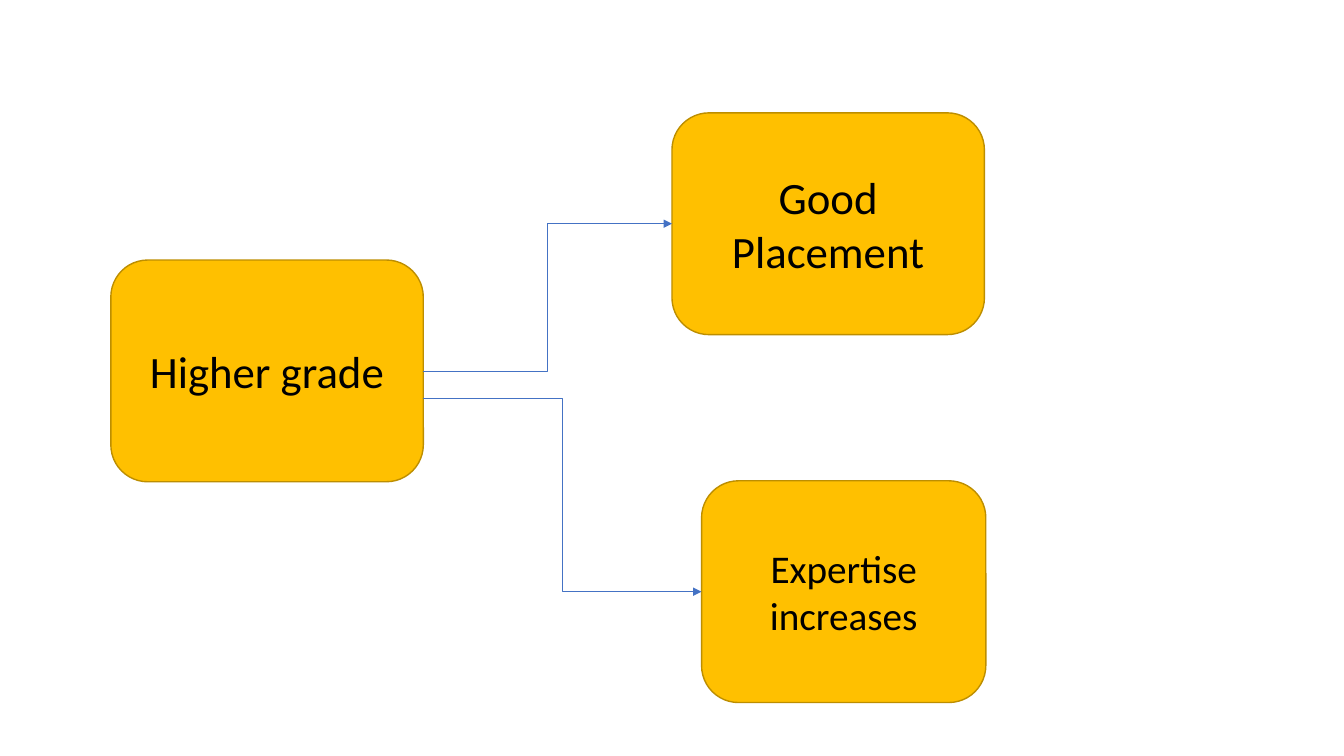
from lxml.etree import SubElement
from pptx import Presentation
from pptx.dml.color import RGBColor
from pptx.enum.shapes import MSO_CONNECTOR, MSO_SHAPE
from pptx.enum.text import MSO_ANCHOR, PP_ALIGN
from pptx.oxml.ns import qn
from pptx.util import Inches, Pt

COLORS = {"fill": "FFC000", "edge": "BD8E00", "text": "000000", "arrow": "4472C4"}
COLS, ROWS = 40, 30
LEFT, RIGHT = 1, 3  # connection sites


class Chart:
    """Style and current slide of a flow chart."""

    font = "Calibri"

    def __init__(self, deck):
        self.slide = deck.slides.add_slide(deck.slide_layouts[6])
        self.col = deck.slide_width / COLS
        self.row = deck.slide_height / ROWS

    def spot(self, col, row):
        return round(col * self.col), round(row * self.row)

    def color(self, name):
        return RGBColor.from_string(COLORS[name])

    def box(self, text, col, row, wide, high=8.8, size=32):
        box = self.slide.shapes.add_shape(
            MSO_SHAPE.ROUNDED_RECTANGLE, *self.spot(col, row), *self.spot(wide, high))
        box.shadow.inherit = False
        box.fill.solid()
        box.fill.fore_color.rgb = self.color("fill")
        box.line.color.rgb = self.color("edge")
        box.line.width = Pt(1)
        frame = box.text_frame
        frame.word_wrap = True
        frame.vertical_anchor = MSO_ANCHOR.MIDDLE
        frame.text = text
        para = frame.paragraphs[0]
        para.alignment = PP_ALIGN.CENTER
        para.font.name = self.font
        para.font.size = Pt(size)
        para.font.color.rgb = self.color("text")
        return box

    def arrow(self, start, end, drop=0):
        """Join two boxes; a drop in rows starts it below the side's middle."""
        x = start.left + start.width
        y = start.top + start.height // 2 + round(drop * self.row)
        line = self.slide.shapes.add_connector(
            MSO_CONNECTOR.ELBOW, x, y, end.left, end.top + end.height // 2)
        if not drop:
            line.begin_connect(start, RIGHT)
        line.end_connect(end, LEFT)
        line.line.color.rgb = self.color("arrow")
        line.line.width = Pt(0.5)
        SubElement(line.line._get_or_add_ln(), qn("a:tailEnd"), type="triangle")
        SubElement(line._element.spPr, qn("a:effectLst"))


def main():
    deck = Presentation()
    deck.slide_width, deck.slide_height = Inches(13.33), Inches(7.5)
    chart = Chart(deck)

    # Cause and its two effects
    grade = chart.box("Higher grade", 3.3, 10.32, 9.3)
    job = chart.box("Good Placement", 20, 4.48, 9.3)
    skill = chart.box("Expertise increases", 20.88, 19.08, 8.46, size=28)

    # Arrows from cause to effects
    chart.arrow(grade, job)
    chart.arrow(grade, skill, drop=1.1)

    deck.save("out.pptx")


if __name__ == "__main__":
    main()
